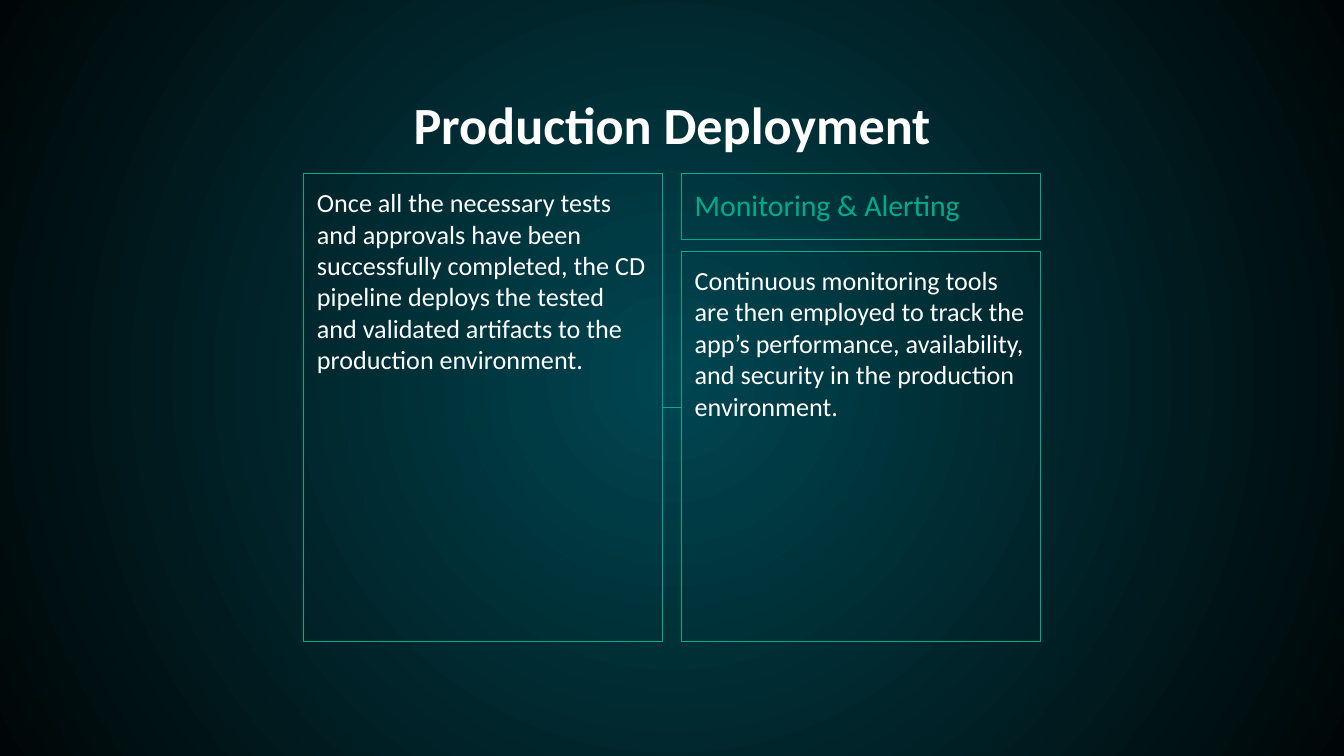
"""Builds the Production Deployment slide."""
from lxml import etree
from pptx import Presentation
from pptx import util as u
from pptx.dml import color
from pptx.enum import shapes, text
from pptx.oxml import ns

WIDE, HIGH = 25.4, 14.29
GREEN, WHITE = "00AB8D", "FFFFFF"
GLOW = ["004651", "000607"]
TITLE = "Production Deployment"
LEFT = ("Once all the necessary tests and approvals have been successfully completed, "
        "the CD pipeline deploys the tested and validated artifacts to the "
        "production environment.")
HEAD = "Monitoring & Alerting"
RIGHT = ("Continuous monitoring tools are then employed to track the app’s performance, "
         "availability, and security in the production environment.")

COL, GAP = 6.78, 0.36
TOP, END, BODY, HEADER = 3.28, 12.13, 4.75, 1.25
MID = WIDE / 2
COLS = [MID - GAP / 2 - COL, MID + GAP / 2]
CARDS = [
    (LEFT, COLS[0], TOP, END - TOP, 14, WHITE, 10),
    (RIGHT, COLS[1], BODY, END - BODY, 14, WHITE, 10),
    (HEAD, COLS[1], TOP, HEADER, 16, GREEN, 0),
]


def tint(code):
    return color.RGBColor.from_string(code)


def stroke(line):
    line.color.rgb = tint(GREEN)
    line.width = u.Pt(0.75)


def write(shape, words, size, shade, align, space=0, bold=False):
    frame = shape.text_frame
    frame.word_wrap = True
    frame.vertical_anchor = text.MSO_ANCHOR.TOP
    for side in ("left", "top", "right", "bottom"):
        setattr(frame, "margin_" + side, u.Cm(0.25))
    para = frame.paragraphs[0]
    para.alignment = align
    para.space_before = para.space_after = u.Pt(space)
    run = para.add_run()
    run.text = words
    font = run.font
    font.name, font.size, font.bold = "Calibri", u.Pt(size), bold
    font.color.rgb = tint(shade)


def paint(slide):
    fill = slide.background.fill
    fill.gradient()
    for stop, code, place in zip(fill.gradient_stops, GLOW, (0, 1)):
        stop.color.rgb = tint(code)
        stop.position = place
    grad = slide.element.find(".//" + ns.qn("a:gradFill"))
    lin = grad.find(ns.qn("a:lin"))
    ring = etree.Element(ns.qn("a:path"), path="circle")
    etree.SubElement(ring, ns.qn("a:fillToRect"),
                     dict.fromkeys("ltrb", "50000"))
    grad.replace(lin, ring)


def card(slide, words, left, top, high, size, shade, space):
    box = slide.shapes.add_shape(
        shapes.MSO_SHAPE.ROUNDED_RECTANGLE,
        u.Cm(left), u.Cm(top), u.Cm(COL), u.Cm(high))
    box.adjustments[0] = 0
    box.shadow.inherit = False
    box.fill.background()
    stroke(box.line)
    write(box, words, size, shade, text.PP_ALIGN.LEFT, space)


def main():
    deck = Presentation()
    deck.slide_width, deck.slide_height = u.Cm(WIDE), u.Cm(HIGH)
    slide = deck.slides.add_slide(deck.slide_layouts[6])
    paint(slide)
    title = slide.shapes.add_textbox(u.Cm(1.98), u.Cm(1.5), u.Cm(21.44), u.Cm(1.57))
    write(title, TITLE, 28, WHITE, text.PP_ALIGN.CENTER, bold=True)
    for item in CARDS:
        card(slide, *item)
    level = u.Cm((TOP + END) / 2)
    link = slide.shapes.add_connector(
        shapes.MSO_CONNECTOR.STRAIGHT,
        u.Cm(MID - GAP / 2), level, u.Cm(MID + GAP / 2), level)
    stroke(link.line)
    etree.SubElement(link.element.spPr, ns.qn("a:effectLst"))
    deck.save("out.pptx")


if __name__ == "__main__":
    main()
